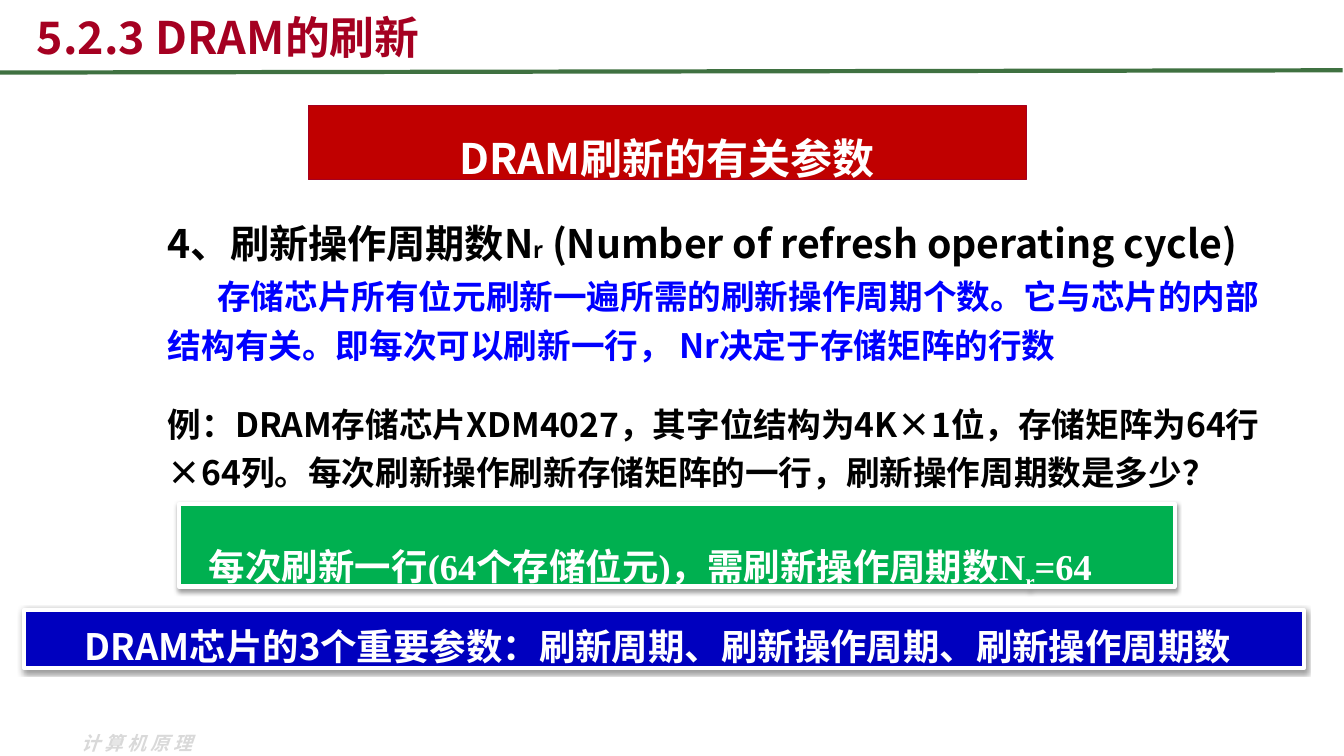
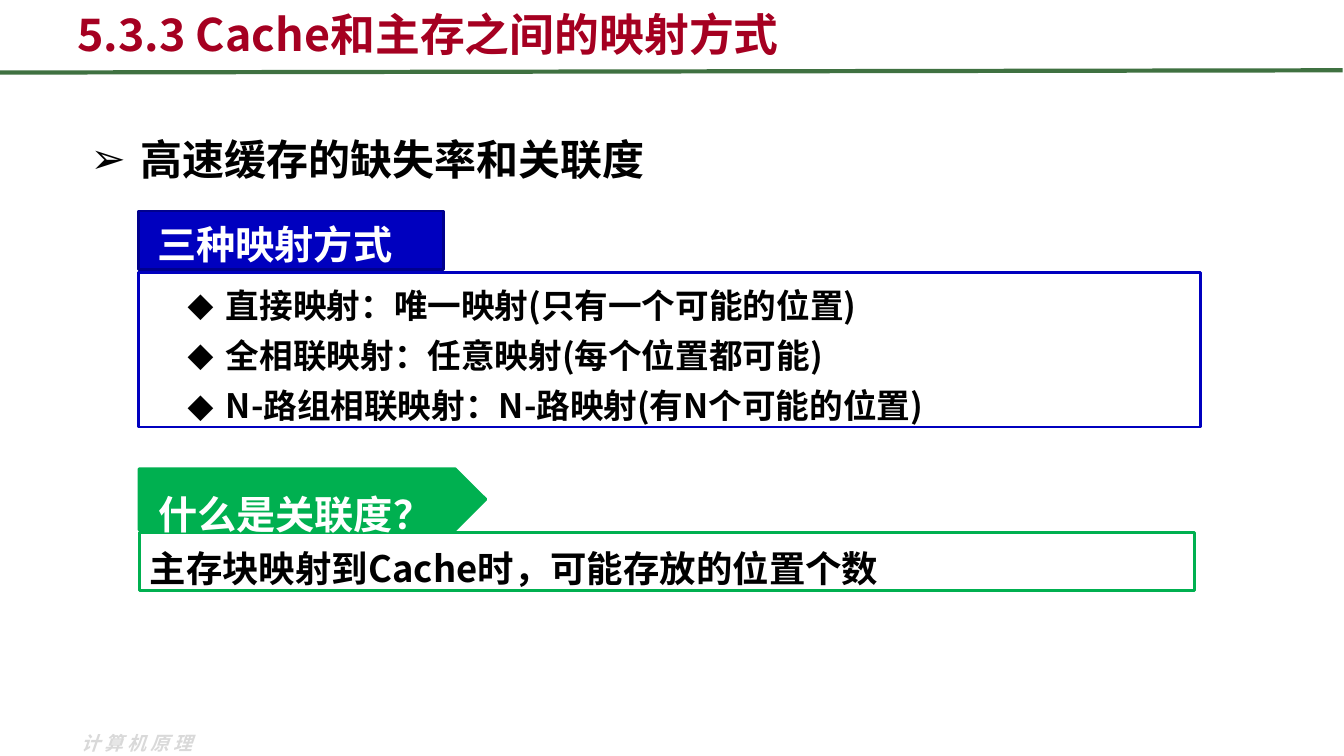
"""Build two lecture slides on DRAM refresh and cache mapping."""
from dataclasses import dataclass
from typing import Any, Optional

from lxml import etree
from pptx import Presentation
from pptx.dml.color import RGBColor
from pptx.enum.shapes import MSO_CONNECTOR, MSO_SHAPE
from pptx.enum.text import MSO_ANCHOR, MSO_AUTO_SIZE, PP_ALIGN
from pptx.oxml.ns import qn
from pptx.util import Inches, Pt

RECTANGLE, PENTAGON = MSO_SHAPE.RECTANGLE, MSO_SHAPE.PENTAGON
STRAIGHT = MSO_CONNECTOR.STRAIGHT
TOP, MIDDLE, BOTTOM = MSO_ANCHOR.TOP, MSO_ANCHOR.MIDDLE, MSO_ANCHOR.BOTTOM
LEFT, CENTER = PP_ALIGN.LEFT, PP_ALIGN.CENTER
NO_AUTOFIT = MSO_AUTO_SIZE.NONE

BLACK = RGBColor(0x00, 0x00, 0x00)
WHITE = RGBColor(0xFF, 0xFF, 0xFF)
CRIMSON = RGBColor(0xA5, 0x00, 0x21)
RED = RGBColor(0xC0, 0x00, 0x00)
NAVY = RGBColor(0x00, 0x00, 0xBF)
DARK_NAVY = RGBColor(0x00, 0x00, 0x8D)
BLUE = RGBColor(0x00, 0x00, 0xFF)
GREEN = RGBColor(0x00, 0xB0, 0x50)
RULE_GREEN = RGBColor(0x3F, 0x71, 0x41)
PALE_GREY = RGBColor(0xD9, 0xD9, 0xD9)

WIDTH, HEIGHT = Inches(13.33), Inches(7.5)
SANS, SERIF, SYMBOL = "Noto Sans CJK SC", "Times New Roman", "DejaVu Sans"


@dataclass(frozen=True)
class Area:
    """A rectangle in percent of the slide's width and height."""
    x: float
    y: float
    w: float
    h: float


@dataclass(frozen=True)
class Span:
    """A stretch of text in one format."""
    text: str
    size: float
    color: RGBColor = BLACK
    font: str = SANS
    italic: bool = False
    baseline: int = 0
    tracking: int = 0


@dataclass(frozen=True)
class Para:
    """A paragraph with its margins in inches and gap in points."""
    spans: tuple[Span, ...]
    spacing: float = 1.2
    before: float = 0
    margin: float = 0
    indent: float = 0
    bullet: str = ""
    align: PP_ALIGN = LEFT


@dataclass(frozen=True)
class Panel:
    """A text area, filled and outlined where colours are given."""
    area: Area
    paras: tuple[Para, ...]
    fill: Optional[RGBColor] = None
    line: Optional[RGBColor] = None
    weight: float = 2
    anchor: MSO_ANCHOR = TOP
    side: float = 0.1
    edge: float = 0.05
    raised: bool = False
    outline: MSO_SHAPE = RECTANGLE


def across(share: float) -> int:
    """Turn a percentage of the slide's width into a length."""
    return round(WIDTH * share / 100)


def down(share: float) -> int:
    """Turn a percentage of the slide's height into a length."""
    return round(HEIGHT * share / 100)


def bounds(area: Area) -> tuple[int, int, int, int]:
    """Return left, top, width and height as lengths."""
    return across(area.x), down(area.y), across(area.w), down(area.h)


def assign(target: Any, values: dict[str, Any]) -> None:
    """Set each format value on the target."""
    for key, value in values.items():
        setattr(target, key, value)


def write_span(paragraph: Any, span: Span) -> None:
    """Add one formatted run."""
    run = paragraph.add_run()
    run.text = span.text
    assign(run.font, {"name": span.font, "size": Pt(span.size),
                      "bold": True, "italic": span.italic})
    run.font.color.rgb = span.color
    props = run.font._element
    etree.SubElement(props, qn("a:ea"), typeface=SANS)
    if span.baseline:
        props.set("baseline", str(span.baseline * 1000))
    if span.tracking:
        props.set("spc", str(span.tracking * 100))


def write_para(paragraph: Any, para: Para) -> None:
    """Format one paragraph and add its runs."""
    props = paragraph._p.get_or_add_pPr()
    props.set("marL", str(Inches(para.margin)))
    props.set("indent", str(Inches(para.indent)))
    if para.bullet:
        etree.SubElement(props, qn("a:buFont"), typeface=SYMBOL)
        etree.SubElement(props, qn("a:buChar"), char=para.bullet)
    assign(paragraph, {"alignment": para.align, "line_spacing": para.spacing})
    if para.before:
        paragraph.space_before = Pt(para.before)
    for span in para.spans:
        write_span(paragraph, span)


def write_text(shape: Any, panel: Panel) -> None:
    """Fill the shape's text frame from the panel."""
    frame = shape.text_frame
    assign(frame, {
        "word_wrap": True, "auto_size": NO_AUTOFIT,
        "vertical_anchor": panel.anchor,
        "margin_left": Inches(panel.side), "margin_right": Inches(panel.side),
        "margin_top": Inches(panel.edge), "margin_bottom": Inches(panel.edge)})
    for index, para in enumerate(panel.paras):
        write_para(frame.add_paragraph() if index else frame.paragraphs[0], para)


def cast_shadow(shape: Any) -> None:
    """Give the shape a soft shadow below it."""
    effects = shape._element.spPr.find(qn("a:effectLst"))
    shadow = etree.SubElement(effects, qn("a:outerShdw"), blurRad=str(Pt(3.1)),
                              dist=str(Pt(1.6)), dir="5400000", rotWithShape="0")
    color = etree.SubElement(shadow, qn("a:srgbClr"), val=str(BLACK))
    etree.SubElement(color, qn("a:alpha"), val="38000")


def draw_panel(slide: Any, panel: Panel) -> None:
    """Draw a text box or a filled shape with its text."""
    if panel.fill is None:
        shape = slide.shapes.add_textbox(*bounds(panel.area))
    else:
        shape = slide.shapes.add_shape(panel.outline, *bounds(panel.area))
        shape.shadow.inherit = False
        shape.fill.solid()
        shape.fill.fore_color.rgb = panel.fill
        shape.line.color.rgb = panel.line
        shape.line.width = Pt(panel.weight)
        if panel.raised:
            cast_shadow(shape)
    write_text(shape, panel)


def draw_slide(deck: Any, title: str, corner: tuple[float, float],
               panels: tuple[Panel, ...]) -> None:
    """Add a slide with the shared title, rule and footer."""
    slide = deck.slides.add_slide(deck.slide_layouts[5])
    draw_panel(slide, FOOTER)
    rule = slide.shapes.add_connector(STRAIGHT, 0, down(9.6), across(99.9), down(9.3))
    rule.line.color.rgb = RULE_GREEN
    rule.line.width = Pt(3)
    etree.SubElement(rule._element.spPr, qn("a:effectLst"))
    heading = Panel(Area(*corner, 90, 9.1),
                    (Para((Span(title, 32, CRIMSON),), 1),), anchor=BOTTOM)
    place = bounds(heading.area)
    assign(slide.shapes.title, dict(zip(("left", "top", "width", "height"), place)))
    write_text(slide.shapes.title, heading)
    for panel in panels:
        draw_panel(slide, panel)


FOOTER = Panel(Area(5.3, 96.1, 11, 4.5), (Para(
    (Span("计算机原理", 13.5, PALE_GREY, italic=True, tracking=3),), 1),))

REFRESH = (
    Panel(Area(8, 27.1, 88.7, 39.9), (
        Para((Span("4、刷新操作周期数N", 28), Span("r", 16),
              Span(" (Number of refresh operating cycle)", 28)), margin=0.5),
        Para((Span("存储芯片所有位元刷新一遍所需的刷新操作周期个数。它与芯片的内部"
                   "结构有关。即每次可以刷新一行， Nr决定于存储矩阵的行数", 24, BLUE),),
             before=1.2, margin=0.5, indent=0.49),
        Para((Span("例：DRAM存储芯片XDM4027，其字位结构为4K×1位，存储矩阵为64"
                   "行×64列。每次刷新操作刷新存储矩阵的一行，刷新操作周期数是多少？", 24),),
             before=22, margin=0.5))),
    Panel(Area(22.95, 13.9, 53.4, 9.9), (
        Para((Span("DRAM刷新的有关参数", 30, WHITE),), 1.6, align=CENTER),),
        RED, CRIMSON, 0.75, MIDDLE),
    Panel(Area(1.8, 80.7, 95.2, 7.7), (
        Para((Span("DRAM芯片的3个重要参数：刷新周期、刷新操作周期、刷新操作周期数",
                   26, WHITE),), margin=0.5),),
        NAVY, WHITE, 3, raised=True),
    Panel(Area(13.3, 66.7, 74.1, 10.9), (
        Para((Span("每次刷新一行(64个存储位元)，需刷新操作周期数N", 26, WHITE, SERIF),
              Span("r", 26, WHITE, SERIF, baseline=-25),
              Span("=64", 26, WHITE, SERIF)), 1.6),),
        GREEN, WHITE, 3, side=0.3, edge=0.1, raised=True),
)

MAPPINGS = ("直接映射：唯一映射(只有一个可能的位置)",
            "全相联映射：任意映射(每个位置都可能)",
            "N-路组相联映射：N-路映射(有N个可能的位置)")

MAPPING = (
    Panel(Area(10.4, 70.4, 78.5, 7.7), (
        Para((Span("主存块映射到Cache时，可能存放的位置个数", 26),)),),
        WHITE, GREEN),
    Panel(Area(10.35, 62, 25.8, 8.1), (
        Para((Span("什么是关联度？", 28, WHITE, SYMBOL),), 1.6, margin=0.09),),
        GREEN, GREEN, anchor=MIDDLE, outline=PENTAGON),
    Panel(Area(6, 14.1, 44.9, 9.9), (
        Para((Span("高速缓存的缺失率和关联度", 30),), 1.6,
             margin=0.5, indent=-0.5, bullet="➢"),), anchor=MIDDLE),
    Panel(Area(10.3, 36, 79.05, 20.5), tuple(
        Para((Span(mapping, 24),), before=1.2 if index else 0,
             margin=0.77, indent=-0.38, bullet="◆")
        for index, mapping in enumerate(MAPPINGS)), WHITE, NAVY),
    Panel(Area(10.3, 27.9, 22.7, 7.7), (
        Para((Span("三种映射方式", 28, WHITE),), 1.1, margin=0.09),),
        NAVY, DARK_NAVY),
)


def main() -> None:
    """Build and save the deck."""
    deck = Presentation()
    assign(deck, {"slide_width": WIDTH, "slide_height": HEIGHT})
    draw_slide(deck, "5.2.3 DRAM的刷新", (2, 0), REFRESH)
    draw_slide(deck, "5.3.3 Cache和主存之间的映射方式", (5, -0.4), MAPPING)
    deck.save("out.pptx")


if __name__ == "__main__":
    main()
